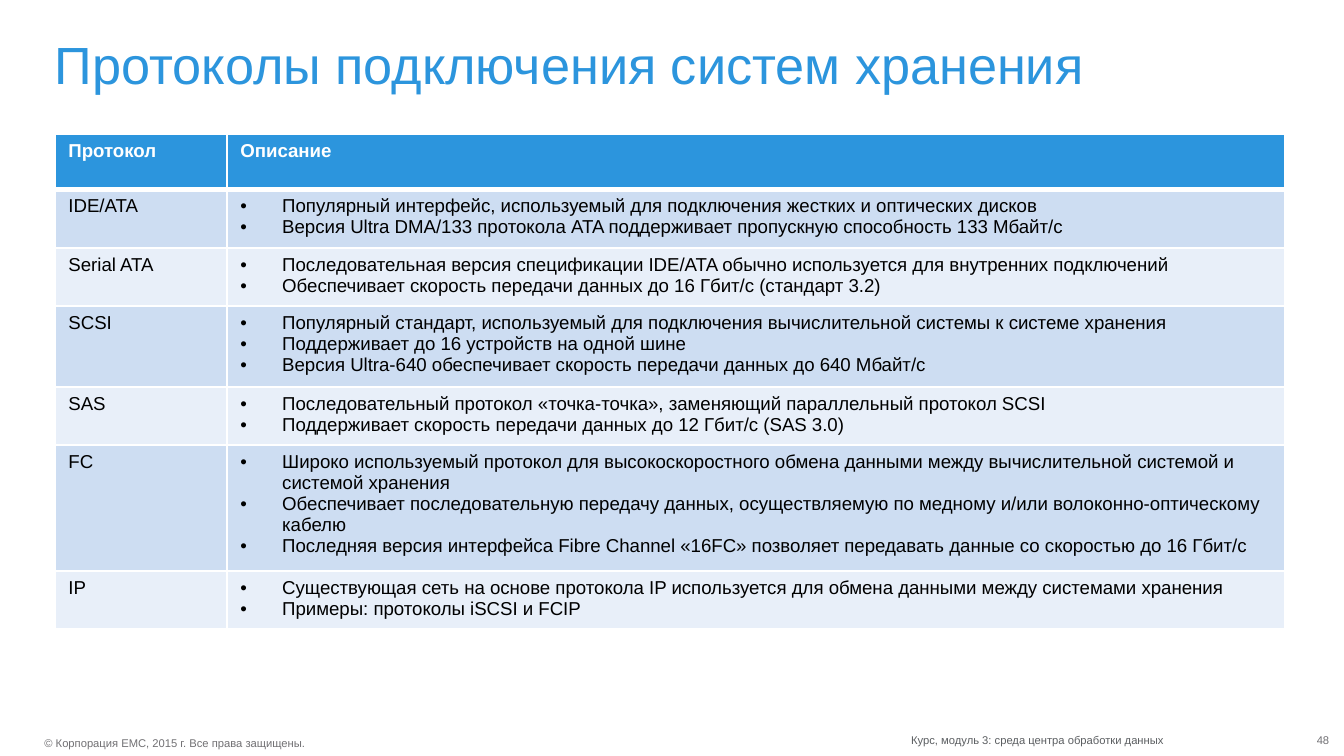
from lxml import etree
from pptx import Presentation
from pptx.dml.color import RGBColor
from pptx.enum.text import MSO_ANCHOR, PP_ALIGN
from pptx.oxml.ns import qn
from pptx.util import Cm, Pt

TOP, MIDDLE = MSO_ANCHOR.TOP, MSO_ANCHOR.MIDDLE
LEFT, RIGHT = PP_ALIGN.LEFT, PP_ALIGN.RIGHT
FONT = "Arial"
BLUE, WHITE, BLACK = "2C95DD", "FFFFFF", "000000"
BANDS = ("CDDDF2", "E8EFF9")
INDENT = Cm(0.79)

HEADER = ("Протокол", "Описание")
PROTOCOLS = [
    ("IDE/ATA", [
        "Популярный интерфейс, используемый для подключения жестких и оптических дисков",
        "Версия Ultra DMA/133 протокола ATA поддерживает пропускную способность 133 Мбайт/с",
    ]),
    ("Serial ATA", [
        "Последовательная версия спецификации IDE/ATA обычно используется для внутренних подключений",
        "Обеспечивает скорость передачи данных до 16 Гбит/с (стандарт 3.2)",
    ]),
    ("SCSI", [
        "Популярный стандарт, используемый для подключения вычислительной системы к системе хранения",
        "Поддерживает до 16 устройств на одной шине",
        "Версия Ultra-640 обеспечивает скорость передачи данных до 640 Мбайт/с",
    ]),
    ("SAS", [
        "Последовательный протокол «точка-точка», заменяющий параллельный протокол SCSI",
        "Поддерживает скорость передачи данных до 12 Гбит/с (SAS 3.0)",
    ]),
    ("FC", [
        "Широко используемый протокол для высокоскоростного обмена данными между "
        "вычислительной системой и системой хранения",
        "Обеспечивает последовательную передачу данных, осуществляемую по медному "
        "и/или волоконно-оптическому кабелю",
        "Последняя версия интерфейса Fibre Channel «16FC» позволяет передавать данные "
        "со скоростью до 16 Гбит/с",
    ]),
    ("IP", [
        "Существующая сеть на основе протокола IP используется для обмена данными "
        "между системами хранения",
        "Примеры: протоколы iSCSI и FCIP",
    ]),
]


def rgb(value):
    return RGBColor.from_string(value)


def style_font(p, size, color, bold=False):
    for r in p.runs:
        r.font.name = FONT
        r.font.size = Pt(size)
        r.font.bold = bold
        r.font.color.rgb = rgb(color)


def add_text(s, text, box, size, color, align=LEFT, anchor=TOP, spacing=1.0, wrap=True):
    tf = s.shapes.add_textbox(*(Cm(v) for v in box)).text_frame
    tf.margin_left = tf.margin_top = tf.margin_right = tf.margin_bottom = 0
    tf.word_wrap = wrap
    tf.vertical_anchor = anchor
    tf.text = text
    p = tf.paragraphs[0]
    p.alignment = align
    p.line_spacing = spacing
    style_font(p, size, color)


def add_bullet(p):
    pPr = p._p.get_or_add_pPr()
    pPr.set("marL", str(INDENT))
    pPr.set("indent", str(-INDENT))
    etree.SubElement(pPr, qn("a:buFont")).set("typeface", FONT)
    etree.SubElement(pPr, qn("a:buChar")).set("char", "•")


def set_borders(cell, top, bottom):
    tcPr = cell._tc.get_or_add_tcPr()
    widths = (("a:lnL", 1), ("a:lnR", 1), ("a:lnT", top), ("a:lnB", bottom))
    for i, (tag, width) in enumerate(widths):
        ln = etree.Element(qn(tag), w=str(Pt(width)))
        fill = etree.SubElement(ln, qn("a:solidFill"))
        etree.SubElement(fill, qn("a:srgbClr")).set("val", WHITE)
        tcPr.insert(i, ln)


def fill_cell(cell, lines, fill, color, bold=False, bullets=False, top=1, bottom=1):
    cell.fill.solid()
    cell.fill.fore_color.rgb = rgb(fill)
    set_borders(cell, top, bottom)
    tf = cell.text_frame
    tf.text = "\n".join(lines)
    for p in tf.paragraphs:
        if bullets:
            add_bullet(p)
        style_font(p, 10, color, bold)


def add_protocol_table(s):
    count = len(PROTOCOLS) + 1
    row_height = Cm(1.04)
    widths = (Cm(3.25), Cm(19.99))
    table = s.shapes.add_table(
        count, 2, Cm(1.04), Cm(2.54), sum(widths), row_height * count
    ).table
    table.horz_banding = False
    for column, width in zip(table.columns, widths):
        column.width = width
    for row in table.rows:
        row.height = row_height
    for i, title in enumerate(HEADER):
        fill_cell(table.cell(0, i), [title], BLUE, WHITE, bold=True, bottom=3)
    for i, (name, facts) in enumerate(PROTOCOLS):
        fill = BANDS[i % 2]
        top = 1 if i else 3
        fill_cell(table.cell(i + 1, 0), [name], fill, BLACK, top=top)
        fill_cell(table.cell(i + 1, 1), facts, fill, BLACK, bullets=True, top=top)


def main():
    prs = Presentation()
    prs.slide_width, prs.slide_height = Cm(25.4), Cm(14.29)
    s = prs.slides.add_slide(prs.slide_layouts[6])
    add_text(s, "© Корпорация EMC, 2015 г. Все права защищены.",
             (0.84, 13.92, 5, 0.25), 6, "717073", wrap=False)
    add_text(s, "Курс, модуль 3: среда центра обработки данных",
             (17.22, 13.87, 5, 0.25), 6, "5B5E61", wrap=False)
    add_text(s, "Протоколы подключения систем хранения",
             (1.04, 0.64, 23.5, 1.27), 28, BLUE, anchor=MIDDLE, spacing=0.9)
    add_protocol_table(s)
    add_text(s, "48", (24.33, 13.87, 0.79, 0.25), 6, "717074", align=RIGHT)
    prs.save("out.pptx")


if __name__ == "__main__":
    main()
